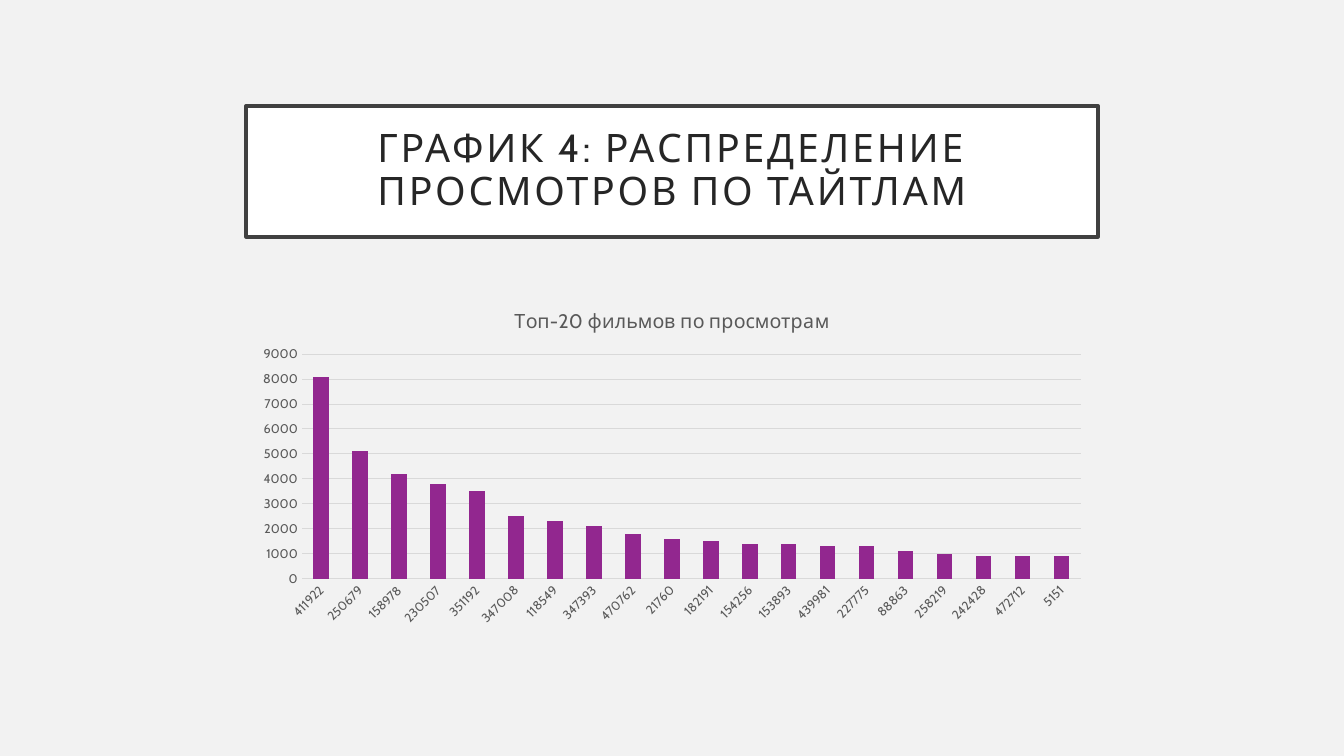
"""Build a slide with a framed title and a column chart of the most viewed films."""
from pptx import Presentation, util as u
from pptx.chart.data import CategoryChartData
from pptx.dml.color import RGBColor
from pptx.enum import chart as c, text

TITLE = "ГРАФИК 4: РАСПРЕДЕЛЕНИЕ ПРОСМОТРОВ ПО ТАЙТЛАМ"
CHART_TITLE = "Топ-20 фильмов по просмотрам"
VIEWS = [
    ("411922", 8100), ("250679", 5100), ("158978", 4200), ("230507", 3800),
    ("351192", 3500), ("347008", 2500), ("118549", 2300), ("347393", 2100),
    ("470762", 1800), ("21760", 1600), ("182191", 1500), ("154256", 1400),
    ("153893", 1400), ("439981", 1300), ("227775", 1300), ("88863", 1100),
    ("258219", 1000), ("242428", 900), ("472712", 900), ("5151", 900),
]
COLORS = {name: RGBColor.from_string(value) for name, value in {
    "back": "F2F2F2", "box": "FFFFFF", "frame": "404040", "title": "262626",
    "label": "595959", "grid": "D9D9D9", "bar": "92278F"}.items()}
FONT = "Cabin"
WIDTH, HEIGHT = 13.33, 7.5
COLUMN = 8.45
TITLE_ROW = (1.05, 1.3)
CHART_ROW = (2.89, 3.39)


def place(row):
    """Return left, top, width and height of a centred row."""
    top, height = row
    return [u.Inches(n) for n in ((WIDTH - COLUMN) / 2, top, COLUMN, height)]


def assign(target, values):
    """Set each attribute of the target from a dict."""
    for name, value in values.items():
        setattr(target, name, value)


def style_font(font, size, color):
    """Give a font its face, size and colour."""
    assign(font, {"name": FONT, "size": u.Pt(size), "bold": False})
    font.color.rgb = COLORS[color]


def add_title(page):
    """Format the title placeholder as a framed box."""
    box = page.shapes.title
    assign(box, dict(zip(("left", "top", "width", "height"), place(TITLE_ROW))))
    box.fill.solid()
    box.fill.fore_color.rgb = COLORS["box"]
    box.line.color.rgb = COLORS["frame"]
    box.line.width = u.Pt(2.5)
    frame = box.text_frame
    assign(frame, {"word_wrap": True, "auto_size": text.MSO_AUTO_SIZE.NONE,
                   "vertical_anchor": text.MSO_ANCHOR.MIDDLE})
    assign(frame, {f"margin_{side}": u.Inches(0.2)
                   for side in ("left", "top", "right", "bottom")})
    para = frame.paragraphs[0]
    assign(para, {"alignment": text.PP_ALIGN.CENTER, "line_spacing": 0.9,
                  "space_before": u.Pt(0)})
    span = para.add_run()
    span.text = TITLE
    style_font(span.font, 28, "title")
    span.font._element.set("spc", "200")


def add_views_chart(page):
    """Add the column chart of views by film."""
    data = CategoryChartData()
    data.categories = [film for film, _ in VIEWS]
    data.add_series("Series 1", [views for _, views in VIEWS])
    chart = page.shapes.add_chart(
        c.XL_CHART_TYPE.COLUMN_CLUSTERED, *place(CHART_ROW), data).chart
    assign(chart, {"has_legend": False, "has_title": True})
    assign(chart.font, {"name": FONT, "size": u.Pt(10)})
    para = chart.chart_title.text_frame.paragraphs[0]
    span = para.add_run()
    span.text = CHART_TITLE
    style_font(span.font, 14, "label")
    chart.chart_title.include_in_layout = False

    for axis in (chart.category_axis, chart.value_axis):
        assign(axis, {"major_tick_mark": c.XL_TICK_MARK.NONE,
                      "minor_tick_mark": c.XL_TICK_MARK.NONE})
        axis.format.line.fill.background()
        style_font(axis.tick_labels.font, 9, "label")
    chart.category_axis._element.txPr.bodyPr.set("rot", "-2700000")
    assign(chart.value_axis, {"minimum_scale": 0, "maximum_scale": 9000,
                              "major_unit": 1000, "has_major_gridlines": True})
    grid = chart.value_axis.major_gridlines.format.line
    grid.color.rgb = COLORS["grid"]
    grid.width = u.Pt(0.75)

    plot = chart.plots[0]
    assign(plot, {"gap_width": 150, "vary_by_categories": False})
    fill = plot.series[0].format.fill
    fill.solid()
    fill.fore_color.rgb = COLORS["bar"]


def main():
    """Assemble and save the deck."""
    deck = Presentation()
    assign(deck, {"slide_width": u.Inches(WIDTH), "slide_height": u.Inches(HEIGHT)})
    page = deck.slides.add_slide(deck.slide_layouts[5])
    page.background.fill.solid()
    page.background.fill.fore_color.rgb = COLORS["back"]
    add_title(page)
    add_views_chart(page)
    deck.save("out.pptx")


if __name__ == "__main__":
    main()
